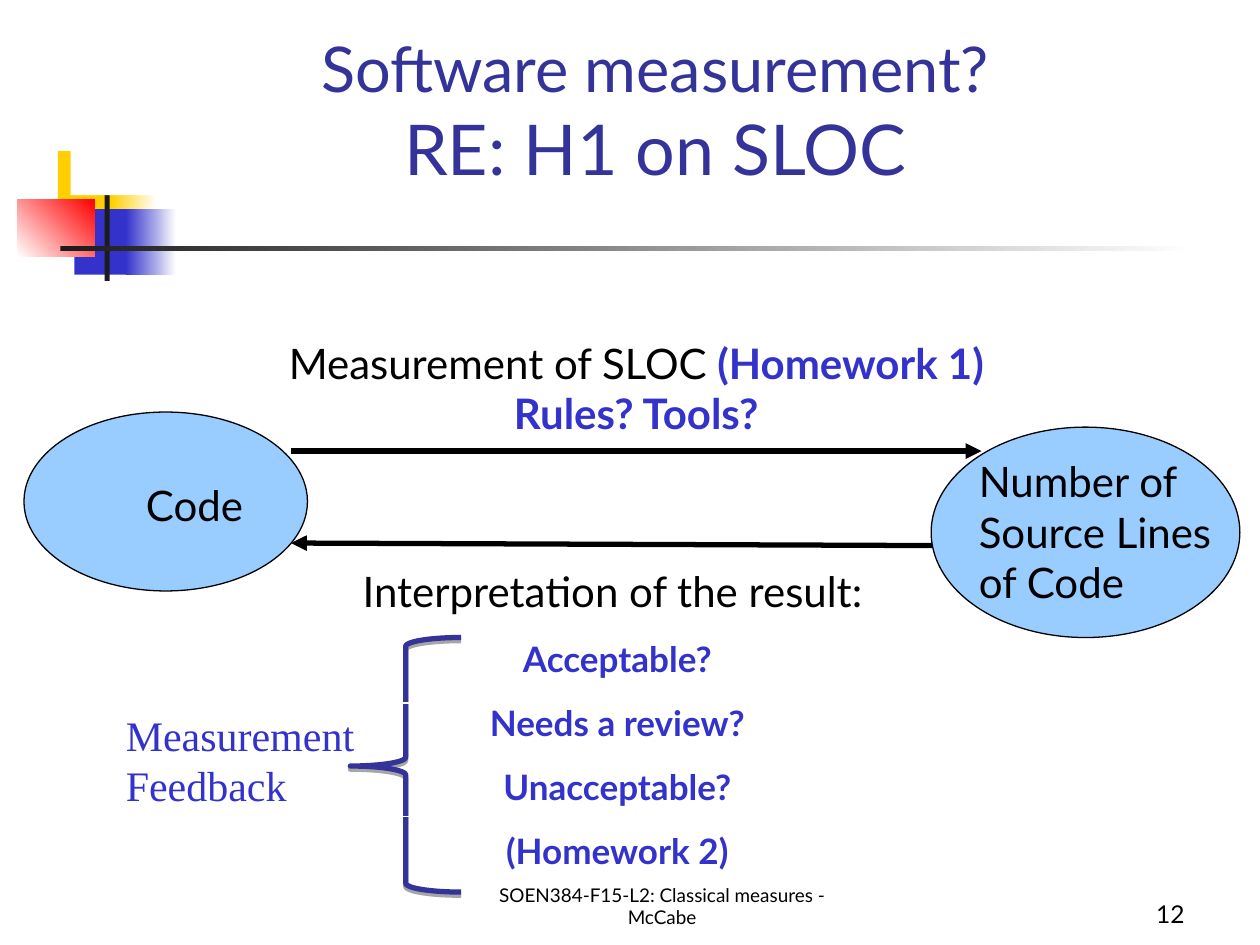
from lxml import etree
from pptx import Presentation
from pptx import util as u
from pptx.dml.color import RGBColor
from pptx.enum import shapes, text
from pptx.oxml.ns import qn

FONT = "Lato"
BLACK, WHITE, BLUE, NAVY = "000000", "FFFFFF", "3333CC", "333399"
YELLOW, RED, DARK, SKY = "FFCF01", "FF0000", "1C1C1C", "99CCFF"
LEFT, CENTER, RIGHT = text.PP_ALIGN.LEFT, text.PP_ALIGN.CENTER, text.PP_ALIGN.RIGHT
SHAPE = shapes.MSO_SHAPE


def rgb(value):
    return RGBColor.from_string(value)


def inches(*values):
    return [u.Inches(v) for v in values]


def add_shape(slide, kind, at, fill=None, line=None, width=0.75, angle=0):
    """Draw a preset shape; a pair of colours as fill makes a gradient."""
    sp = slide.shapes.add_shape(kind, *inches(*at))
    sp.shadow.inherit = False
    if fill is None:
        sp.fill.background()
    elif isinstance(fill, tuple):
        sp.fill.gradient()
        sp.fill.gradient_angle = angle
        for stop, color, position in zip(sp.fill.gradient_stops, fill, (0, 1)):
            stop.color.rgb = rgb(color)
            stop.position = position
    else:
        sp.fill.solid()
        sp.fill.fore_color.rgb = rgb(fill)
    if line:
        sp.line.color.rgb = rgb(line)
        sp.line.width = u.Pt(width)
    else:
        sp.line.fill.background()
    return sp


def add_text(slide, at, paragraphs, size=24, color=BLACK, font=FONT, align=LEFT,
             anchor=text.MSO_ANCHOR.TOP, before=0, fill=None, line=None):
    """Each paragraph is a string or a list of (text, format) runs.

    A run that starts with a newline begins on a new line.
    """
    sp = slide.shapes.add_textbox(*inches(*at))
    if fill:
        sp.fill.solid()
        sp.fill.fore_color.rgb = rgb(fill)
    if line:
        sp.line.color.rgb = rgb(line)
        sp.line.width = u.Pt(0.75)
    tf = sp.text_frame
    tf.word_wrap = True
    tf.vertical_anchor = anchor
    for i, runs in enumerate(paragraphs):
        p = tf.add_paragraph() if i else tf.paragraphs[0]
        p.alignment = align
        p.space_before = u.Pt(before)
        for words, style in [(runs, {})] if isinstance(runs, str) else runs:
            if words.startswith("\n"):
                p.add_line_break()
            r = p.add_run()
            r.text = words.lstrip("\n")
            r.font.name = font
            r.font.size = u.Pt(style.get("size", size))
            r.font.bold = style.get("bold", False)
            r.font.color.rgb = rgb(style.get("color", color))
    return sp


def add_arrow(slide, start, end):
    cx = slide.shapes.add_connector(shapes.MSO_CONNECTOR.STRAIGHT,
                                    *inches(*start, *end))
    cx.line.color.rgb = rgb(BLACK)
    cx.line.width = u.Pt(3)
    etree.SubElement(cx.line._get_or_add_ln(), qn("a:tailEnd"), type="triangle")
    etree.SubElement(cx._element.spPr, qn("a:effectLst"))


def add_brace(slide, at):
    sp = add_shape(slide, SHAPE.LEFT_BRACE, at, line=NAVY, width=3)
    sp.adjustments[0] = 0.08
    sp.adjustments[1] = 0.505
    effects = sp._element.spPr.find(qn("a:effectLst"))
    shadow = etree.SubElement(effects, qn("a:outerShdw"), blurRad="0",
                              dist=str(u.Pt(1.8)), dir="5400000", rotWithShape="0")
    color = etree.SubElement(shadow, qn("a:srgbClr"), val=BLACK)
    etree.SubElement(color, qn("a:alpha"), val="35000")


def add_decoration(slide):
    for at, fill, angle in [
        ((0.46, 1.2, 0.48, 0.52), YELLOW, 0),
        ((0.88, 1.2, 0.36, 0.52), (YELLOW, WHITE), 0),
        ((0.59, 1.66, 0.46, 0.52), BLUE, 0),
        ((1, 1.66, 0.4, 0.52), (BLUE, WHITE), 0),
        ((0.14, 1.58, 0.61, 0.46), (WHITE, RED), 45),
        ((0.83, 1.08, 0.04, 1.15), DARK, 0),
        ((0.48, 1.95, 9, 0.04), (DARK, WHITE), 0),
    ]:
        add_shape(slide, SHAPE.RECTANGLE, at, fill, angle=angle)


def main():
    prs = Presentation()
    prs.slide_width, prs.slide_height = inches(10, 7.5)
    slide = prs.slides.add_slide(prs.slide_layouts[6])
    bottom = text.MSO_ANCHOR.BOTTOM
    strong = {"color": BLUE, "bold": True}

    # Corner squares and rule
    add_decoration(slide)

    # Footer and slide number
    add_text(slide, (3.67, 6.92, 3.17, 0.5),
             ["SOEN384-F15-L2: Classical measures - McCabe"],
             size=10.8, align=CENTER, anchor=bottom)
    add_text(slide, (7.42, 6.92, 2.08, 0.5), ["12"], size=14, align=RIGHT,
             anchor=bottom)

    # Title
    add_text(slide, (0.56, -0.38, 9.28, 1.93),
             [[("Software measurement?", {"size": 36}), ("\nRE: H1 on SLOC", {})]],
             size=40, color=NAVY, align=CENTER, anchor=bottom, fill=WHITE)

    # Code and its measure, with the arrows between them
    add_shape(slide, SHAPE.OVAL, (0.19, 3.27, 2.25, 1.42), SKY, BLACK)
    add_arrow(slide, (2.31, 3.58), (7.79, 3.58))
    add_arrow(slide, (7.42, 4.33), (2.31, 4.31))
    add_text(slide, (1.06, 3.76, 1.25, 0.5), ["Code"])
    add_text(slide, (2.01, 2.63, 6.08, 0.9),
             [[("Measurement of SLOC ", {}),
               ("(Homework 1) Rules? Tools?", strong)]], align=CENTER)
    add_shape(slide, SHAPE.OVAL, (7.39, 3.39, 2.45, 1.67), SKY, BLACK)
    add_text(slide, (7.67, 3.57, 2.17, 1.7), ["Number of Source Lines of Code"])

    # Interpretation
    answers = ["Acceptable?", "Needs a review?", "Unacceptable?", "(Homework 2)"]
    sp = add_text(slide, (2.78, 4.44, 4.24, 2.93),
                  ["Interpretation of the result:"]
                  + [[(answer, {**strong, "size": 20})] for answer in answers],
                  align=CENTER, before=12.5)
    sp.text_frame.paragraphs[0].alignment = LEFT

    # Feedback brace and label
    add_brace(slide, (2.78, 5.06, 0.88, 2.02))
    add_text(slide, (0.9, 5.58, 2.83, 0.9), ["Measurement Feedback"],
             color=BLUE, font="Times New Roman", line=WHITE)

    prs.save("out.pptx")


if __name__ == "__main__":
    main()
